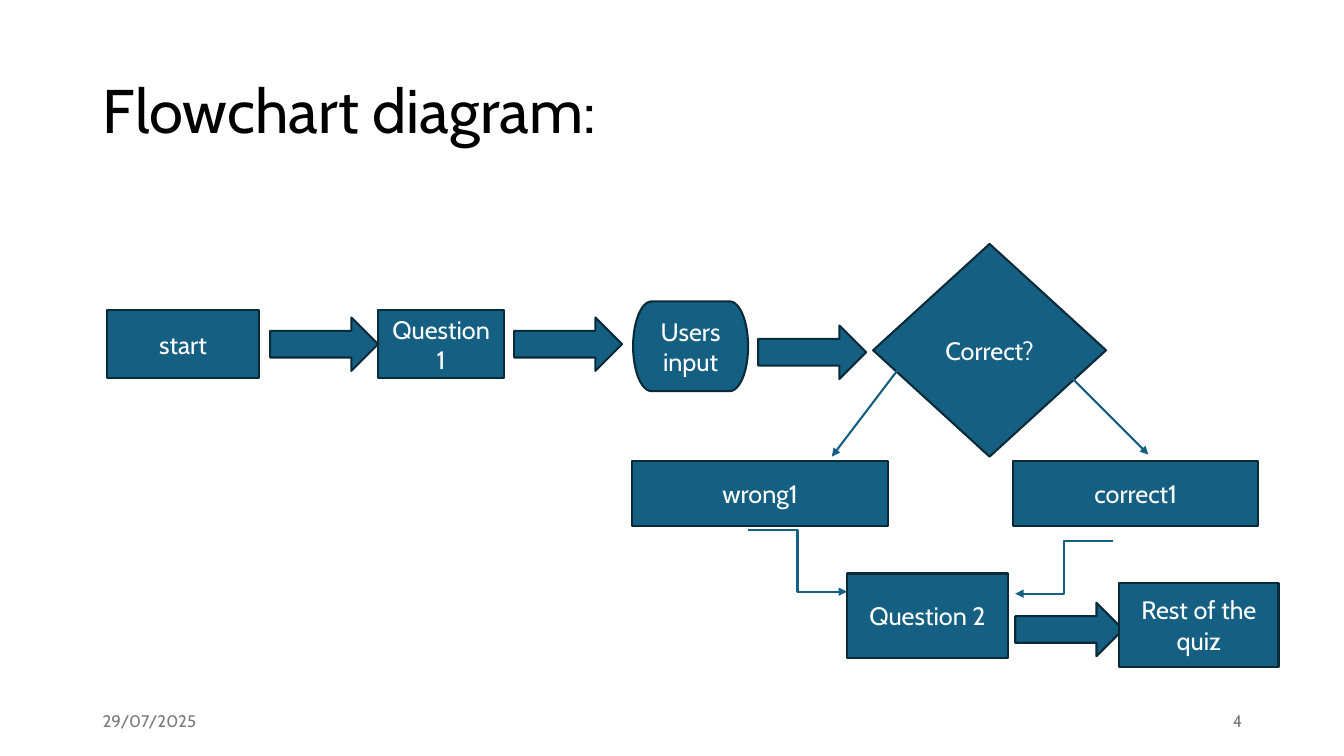
from dataclasses import dataclass

from lxml import etree
from pptx import Presentation
from pptx.dml.color import RGBColor
from pptx.enum.shapes import MSO_CONNECTOR, MSO_SHAPE
from pptx.enum.text import MSO_ANCHOR, MSO_AUTO_SIZE, PP_ALIGN
from pptx.oxml.ns import qn
from pptx.util import Inches, Pt

PROCESS = MSO_SHAPE.FLOWCHART_PROCESS
TERMINATOR = MSO_SHAPE.FLOWCHART_TERMINATOR
DECISION = MSO_SHAPE.FLOWCHART_DECISION
RECTANGLE = MSO_SHAPE.RECTANGLE
RIGHT_ARROW = MSO_SHAPE.RIGHT_ARROW
STRAIGHT = MSO_CONNECTOR.STRAIGHT
ELBOW = MSO_CONNECTOR.ELBOW
LEFT, CENTER, RIGHT = PP_ALIGN.LEFT, PP_ALIGN.CENTER, PP_ALIGN.RIGHT

FONT = "Cabin"
COLORS = {
    "title": "000000",
    "fill": "156082",
    "outline": "092A39",
    "label": "FFFFFF",
    "footer": "797979",
}
LINE_WIDTH = Pt(1.5)
TITLE_ONLY = 5


@dataclass
class Node:
    kind: int
    left: float
    top: float
    width: float
    height: float
    label: str = ""


@dataclass
class Link:
    kind: int
    start: tuple[float, float]
    end: tuple[float, float]


@dataclass
class Footer:
    left: float
    text: str
    align: int


ARROW_SIZE = (1.07, 0.53)
ARROW_CORNERS = [(2.68, 3.15), (5.1, 3.15), (7.52, 3.23), (10.07, 5.98)]
BLOCK_ARROWS = [Node(RIGHT_ARROW, *corner, *ARROW_SIZE) for corner in ARROW_CORNERS]

NODES = [
    Node(PROCESS, 1.06, 3.08, 1.51, 0.67, "start"),
    Node(PROCESS, 3.75, 3.08, 1.25, 0.67, "Question 1"),
    Node(TERMINATOR, 6.28, 2.99, 1.14, 0.89, "Users input"),
    Node(DECISION, 8.66, 2.42, 2.31, 2.11, "Correct?"),
    Node(PROCESS, 10.05, 4.57, 2.43, 0.65, "correct1"),
    Node(PROCESS, 6.27, 4.57, 2.54, 0.65, "wrong1"),
    Node(RECTANGLE, 8.4, 5.69, 1.6, 0.84, "Question 2"),
    Node(PROCESS, 11.1, 5.78, 1.58, 0.84, "Rest of the quiz"),
]
LINKS = [
    Link(STRAIGHT, (10.39, 3.51), (11.39, 4.51)),
    Link(STRAIGHT, (9.14, 3.36), (8.25, 4.53)),
    Link(ELBOW, (11.04, 5.37), (10.07, 5.89)),
    Link(ELBOW, (7.42, 5.26), (8.4, 5.87)),
]
FOOTERS = [Footer(0.92, "29/07/2025", LEFT), Footer(9.42, "4", RIGHT)]


def color(name: str) -> RGBColor:
    return RGBColor.from_string(COLORS[name])


def write_text(box, text: str, size: float, color_name: str, align: int) -> None:
    frame = box.text_frame
    frame.word_wrap = True
    frame.auto_size = MSO_AUTO_SIZE.NONE
    frame.vertical_anchor = MSO_ANCHOR.MIDDLE
    para = frame.paragraphs[0]
    para.alignment = align
    span = para.add_run()
    span.text = text
    span.font.name = FONT
    span.font.size = Pt(size)
    span.font.color.rgb = color(color_name)


def add_title(page, text: str) -> None:
    title = page.shapes.title
    title.left, title.top = Inches(0.92), Inches(0.4)
    title.width, title.height = Inches(11.5), Inches(1.45)
    write_text(title, text, 44, "title", LEFT)
    title.text_frame.paragraphs[0].line_spacing = 0.9


def add_node(page, node: Node) -> None:
    box = page.shapes.add_shape(
        node.kind, Inches(node.left), Inches(node.top), Inches(node.width), Inches(node.height)
    )
    box.shadow.inherit = False
    box.fill.solid()
    box.fill.fore_color.rgb = color("fill")
    box.line.color.rgb = color("outline")
    box.line.width = LINE_WIDTH
    if node.label:
        write_text(box, node.label, 18, "label", CENTER)


def add_link(page, link: Link) -> None:
    """Draw a connector with a triangle head at its end."""
    points = [Inches(value) for value in link.start + link.end]
    connector = page.shapes.add_connector(link.kind, *points)
    connector.line.color.rgb = color("fill")
    connector.line.width = LINE_WIDTH
    properties = connector.element.spPr
    etree.SubElement(properties.find(qn("a:ln")), qn("a:tailEnd"), type="triangle")
    etree.SubElement(properties, qn("a:effectLst"))


def add_footer(page, footer: Footer) -> None:
    box = page.shapes.add_textbox(Inches(footer.left), Inches(6.95), Inches(3), Inches(0.4))
    write_text(box, footer.text, 12, "footer", footer.align)


def main() -> None:
    deck = Presentation()
    deck.slide_width, deck.slide_height = Inches(13.33), Inches(7.5)
    page = deck.slides.add_slide(deck.slide_layouts[TITLE_ONLY])
    add_title(page, "Flowchart diagram:")
    for node in BLOCK_ARROWS + NODES:
        add_node(page, node)
    for link in LINKS:
        add_link(page, link)
    for footer in FOOTERS:
        add_footer(page, footer)
    deck.save("out.pptx")


if __name__ == "__main__":
    main()
